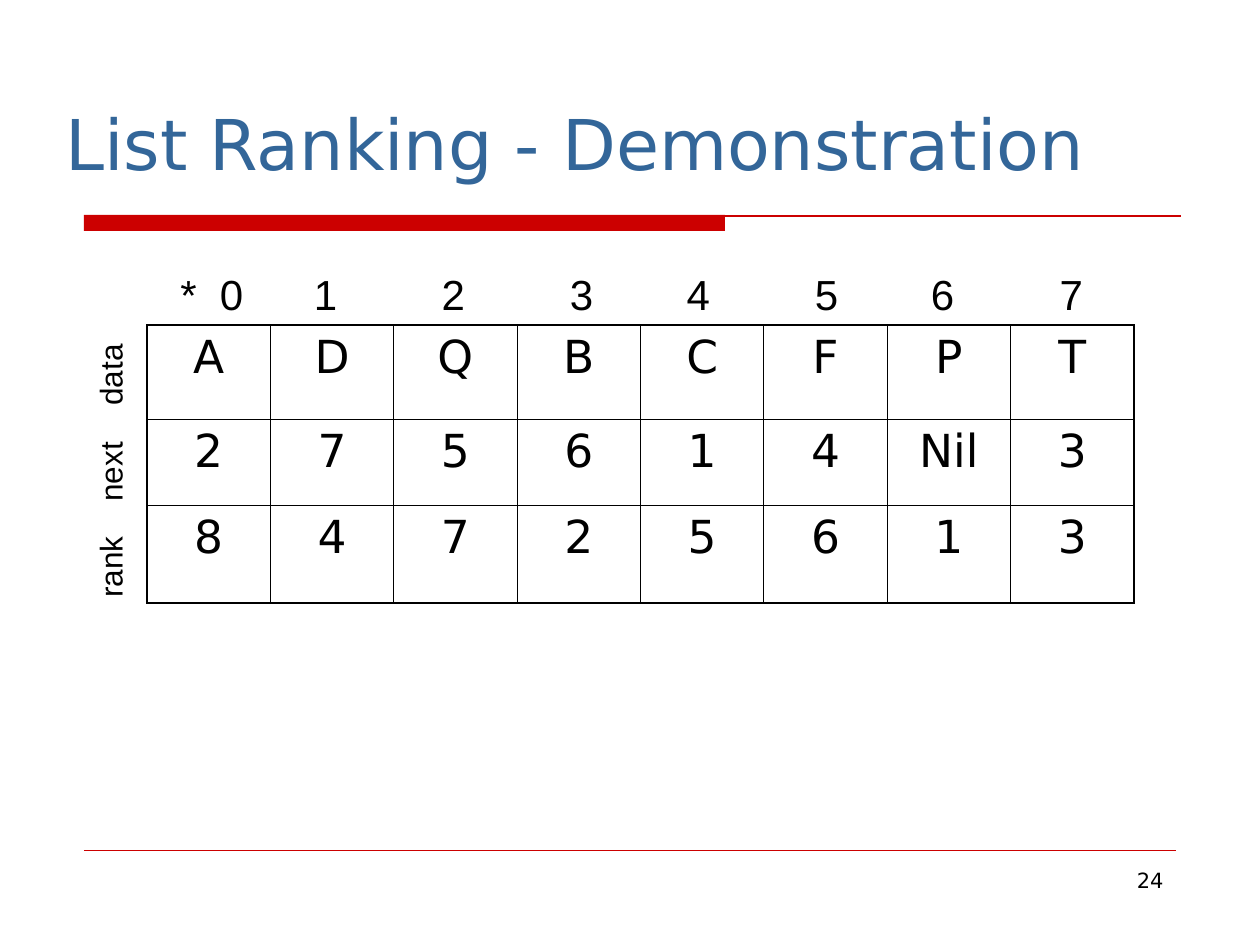
from dataclasses import dataclass

from lxml.etree import SubElement
from pptx import Presentation
from pptx.dml.color import RGBColor
from pptx.enum.shapes import MSO_CONNECTOR, MSO_SHAPE
from pptx.enum.text import MSO_ANCHOR, MSO_AUTO_SIZE, PP_ALIGN
from pptx.oxml import parse_xml
from pptx.oxml.ns import nsdecls, qn
from pptx.util import Emu, Pt


@dataclass(frozen=True)
class Theme:
    heading: str = "336699"
    accent: str = "CC0000"
    ink: str = "000000"
    main_font: str = "DejaVu Sans"
    label_font: str = "Arial"
    title_size: int = 40
    cell_size: int = 26
    index_size: int = 24
    side_size: int = 18
    number_size: int = 12
    outer_border: float = 1.08
    inner_border: float = 0.45


def px(length):
    return Emu(round(length * 914400 / 126))


def write_text(frame, text, *, font, size, color, align=PP_ALIGN.LEFT, tabs=(), tab_align="l"):
    frame.word_wrap = True
    frame.vertical_anchor = MSO_ANCHOR.TOP
    para = frame.paragraphs[0]
    para.alignment = align
    if tabs:
        tab_list = SubElement(para._p.get_or_add_pPr(), qn("a:tabLst"))
        for stop in tabs:
            SubElement(tab_list, qn("a:tab"), pos=str(px(stop)), algn=tab_align)
    span = para.add_run()
    span.text = text
    span.font.name = font
    span.font.size = Pt(size)
    span.font.color.rgb = RGBColor.from_string(color)


class SlideBuilder:
    def __init__(self, deck, theme):
        self.theme = theme
        self.page = deck.slides.add_slide(deck.slide_layouts[5])

    def title(self, text, left, top, width, height):
        box = self.page.shapes.title
        box.left, box.top, box.width, box.height = map(px, (left, top, width, height))
        box.text_frame.auto_size = MSO_AUTO_SIZE.NONE
        write_text(box.text_frame, text, font=self.theme.main_font,
                   size=self.theme.title_size, color=self.theme.heading)

    def text(self, text, left, top, width, height, rotation=0, **style):
        box = self.page.shapes.add_textbox(*map(px, (left, top, width, height)))
        box.rotation = rotation
        write_text(box.text_frame, text, color=self.theme.ink, **style)

    def bar(self, left, top, width, height):
        bar = self.page.shapes.add_shape(MSO_SHAPE.RECTANGLE, *map(px, (left, top, width, height)))
        bar.shadow.inherit = False
        bar.fill.solid()
        bar.fill.fore_color.rgb = RGBColor.from_string(self.theme.accent)
        bar.line.fill.background()

    def rule(self, left, right, y, weight):
        rule = self.page.shapes.add_connector(MSO_CONNECTOR.STRAIGHT, *map(px, (left, y, right, y)))
        rule.line.color.rgb = RGBColor.from_string(self.theme.accent)
        rule.line.width = Pt(weight)
        SubElement(rule._element.spPr, qn("a:effectLst"))

    def borders(self, cell, outer_sides):
        cell_format = cell._tc.get_or_add_tcPr()
        for position, side in enumerate("LRTB"):
            weight = self.theme.outer_border if side in outer_sides else self.theme.inner_border
            cell_format.insert(position, parse_xml(
                f'<a:ln{side} {nsdecls("a")} w="{Pt(weight)}"><a:solidFill>'
                f'<a:srgbClr val="{self.theme.ink}"/></a:solidFill></a:ln{side}>'))

    def table(self, rows, left, top, width, row_heights):
        row_count, column_count = len(rows), len(rows[0])
        table = self.page.shapes.add_table(
            row_count, column_count, px(left), px(top), px(width), px(sum(row_heights))).table
        table.first_row = table.horz_banding = False
        for column in table.columns:
            column.width = px(width / column_count)
        for r, (values, height) in enumerate(zip(rows, row_heights)):
            table.rows[r].height = px(height)
            for c, value in enumerate(values):
                cell = table.cell(r, c)
                cell.fill.background()
                edges = {"L": c == 0, "R": c == column_count - 1,
                         "T": r == 0, "B": r == row_count - 1}
                self.borders(cell, [side for side, outer in edges.items() if outer])
                write_text(cell.text_frame, value, font=self.theme.main_font,
                           size=self.theme.cell_size, color=self.theme.ink,
                           align=PP_ALIGN.CENTER)


def main():
    deck = Presentation()
    deck.slide_width, deck.slide_height = px(1260), px(945)
    theme = Theme()
    slide = SlideBuilder(deck, theme)

    slide.bar(84, 215, 641, 16)
    slide.rule(84, 1181, 216, 0.75)
    slide.rule(84, 1176, 850, 0.25)
    slide.text("24", 903, 861, 273, 65, font=theme.main_font,
               size=theme.number_size, align=PP_ALIGN.RIGHT)
    slide.table(
        [["A", "D", "Q", "B", "C", "F", "P", "T"],
         ["2", "7", "5", "6", "1", "4", "Nil", "3"],
         ["8", "4", "7", "2", "5", "6", "1", "3"]],
        147, 325, 987, [94, 86, 98])
    slide.text("rank\tnext\tdata", -32, 474 - 31, 284, 50, rotation=270,
               font=theme.label_font, size=theme.side_size, tabs=(96, 192))
    slide.text("*\t0\t1\t2\t3\t4\t5\t6\t7", 168, 262, 976, 63,
               font=theme.label_font, size=theme.index_size, tab_align="ctr",
               tabs=(51, 145, 273, 401, 518, 646, 762, 891))
    slide.title("List Ranking - Demonstration", 53, 94, 1207, 97)
    deck.save("out.pptx")


if __name__ == "__main__":
    main()
